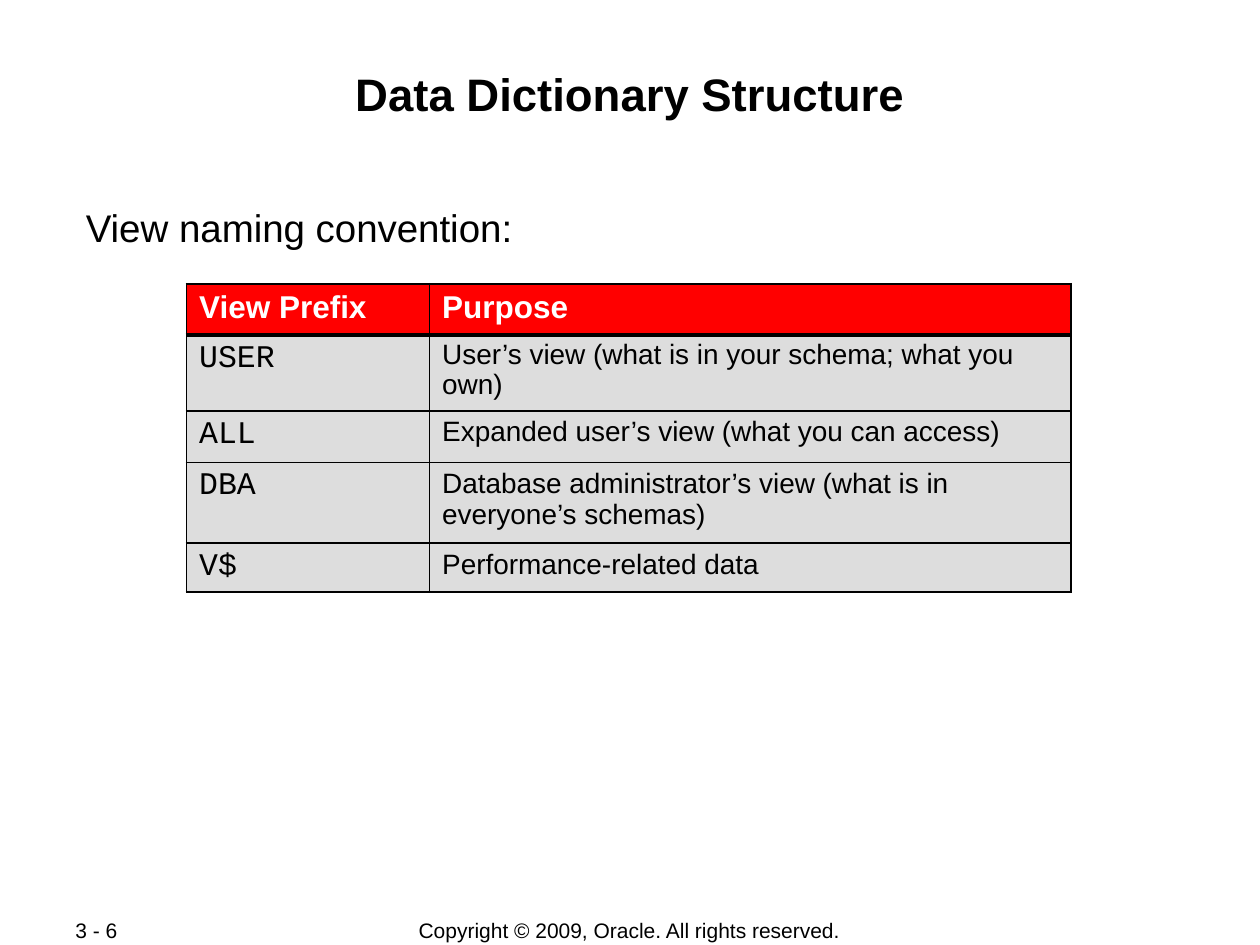
from dataclasses import dataclass

import pptx
import pptx.dml.color
import pptx.enum.text
import pptx.oxml.ns
import pptx.util
from lxml import etree
from pptx.util import Cm, Pt

BLACK = pptx.dml.color.RGBColor(0, 0, 0)
WHITE = pptx.dml.color.RGBColor(255, 255, 255)
RED = pptx.dml.color.RGBColor(255, 0, 0)
GREY = pptx.dml.color.RGBColor(0xDD, 0xDD, 0xDD)
ALIGN = pptx.enum.text.PP_ALIGN
ANCHOR = pptx.enum.text.MSO_ANCHOR
THIN, THICK = Pt(1.08), Pt(2.21)


@dataclass(frozen=True)
class TextStyle:
    size: float
    font: str = "Arial"
    color: pptx.dml.color.RGBColor = BLACK
    bold: bool = False
    align: ALIGN = ALIGN.LEFT
    line_spacing: float = 1.0


@dataclass(frozen=True)
class Label:
    text: str
    box: tuple[float, float, float, float]  # left, top, width, height in cm
    style: TextStyle
    margins: tuple[float, float] = (0.25, 0.13)  # side, top and bottom in cm
    anchor: ANCHOR = ANCHOR.MIDDLE


@dataclass(frozen=True)
class ViewRow:
    prefix: str
    purpose: str
    height: float
    purpose_spacing: float = 0.95


HEADER = TextStyle(18, color=WHITE, bold=True)
PREFIX = TextStyle(18, "Courier New", line_spacing=0.95)

LABELS = [
    Label("Copyright © 2009, Oracle. All rights reserved.", (6.99, 18.49, 11.4, 0.53),
          TextStyle(12, align=ALIGN.CENTER)),
    Label("3 - 6", (1.27, 18.49, 2.69, 0.51), TextStyle(12)),
    Label("Data Dictionary Structure", (1.7, 1.22, 22, 2.44),
          TextStyle(26, bold=True, align=ALIGN.CENTER), (0.03, 0.11), ANCHOR.TOP),
    Label("View naming convention:", (1.7, 4.01, 22, 0.99),
          TextStyle(22), (0.03, 0.11), ANCHOR.TOP),
]
COLUMN_WIDTHS = (4.9, 12.93)
VIEW_ROWS = [
    ViewRow("View Prefix", "Purpose", 1.03),
    ViewRow("USER", "User’s view (what is in your schema; what you own)", 1.54),
    ViewRow("ALL", "Expanded user’s view (what you can access)", 1.03),
    ViewRow("DBA", "Database administrator’s view (what is in everyone’s schemas)", 1.63, 1.0),
    ViewRow("V$", "Performance-related data", 0.98, 1.0),
]


def write_text(frame: pptx.text.text.TextFrame, text: str, style: TextStyle) -> None:
    frame.word_wrap = True
    paragraph = frame.paragraphs[0]
    paragraph.alignment = style.align
    paragraph.line_spacing = style.line_spacing
    run = paragraph.add_run()
    run.text = text
    run.font.name = style.font
    run.font.size = Pt(style.size)
    run.font.bold = style.bold
    run.font.color.rgb = style.color


def add_label(slide: pptx.slide.Slide, label: Label) -> None:
    frame = slide.shapes.add_textbox(*map(Cm, label.box)).text_frame
    side, edge = map(Cm, label.margins)
    frame.margin_left = frame.margin_right = side
    frame.margin_top = frame.margin_bottom = edge
    frame.vertical_anchor = label.anchor
    write_text(frame, label.text, label.style)


def add_borders(cell: pptx.table._Cell, top: int, bottom: int) -> None:
    """Must run before the cell's fill is set, as borders come first in the XML."""
    properties = cell._tc.get_or_add_tcPr()
    qn = pptx.oxml.ns.qn
    for tag, width in (("a:lnL", THIN), ("a:lnR", THIN), ("a:lnT", top), ("a:lnB", bottom)):
        line = etree.SubElement(properties, qn(tag), w=str(int(width)))
        fill = etree.SubElement(line, qn("a:solidFill"))
        etree.SubElement(fill, qn("a:srgbClr"), val=str(BLACK))


def add_view_table(slide: pptx.slide.Slide) -> None:
    table = slide.shapes.add_table(
        len(VIEW_ROWS), len(COLUMN_WIDTHS), Cm(3.76), Cm(5.72),
        Cm(sum(COLUMN_WIDTHS)), Cm(sum(row.height for row in VIEW_ROWS))).table
    table.horz_banding = False
    for column, width in zip(table.columns, COLUMN_WIDTHS):
        column.width = Cm(width)
    for index, view in enumerate(VIEW_ROWS):
        table.rows[index].height = Cm(view.height)
        purpose = TextStyle(16, line_spacing=view.purpose_spacing)
        styles = (HEADER, HEADER) if index == 0 else (PREFIX, purpose)
        for cell, text, style in zip(table.rows[index].cells, (view.prefix, view.purpose), styles):
            add_borders(cell, THICK if index == 1 else THIN, THICK if index == 0 else THIN)
            cell.fill.solid()
            cell.fill.fore_color.rgb = RED if index == 0 else GREY
            write_text(cell.text_frame, text, style)


def main() -> None:
    deck = pptx.Presentation()
    deck.slide_width, deck.slide_height = Cm(25.4), Cm(19.05)
    slide = deck.slides.add_slide(deck.slide_layouts[6])
    for label in LABELS:
        add_label(slide, label)
    add_view_table(slide)
    deck.save("out.pptx")


if __name__ == "__main__":
    main()
